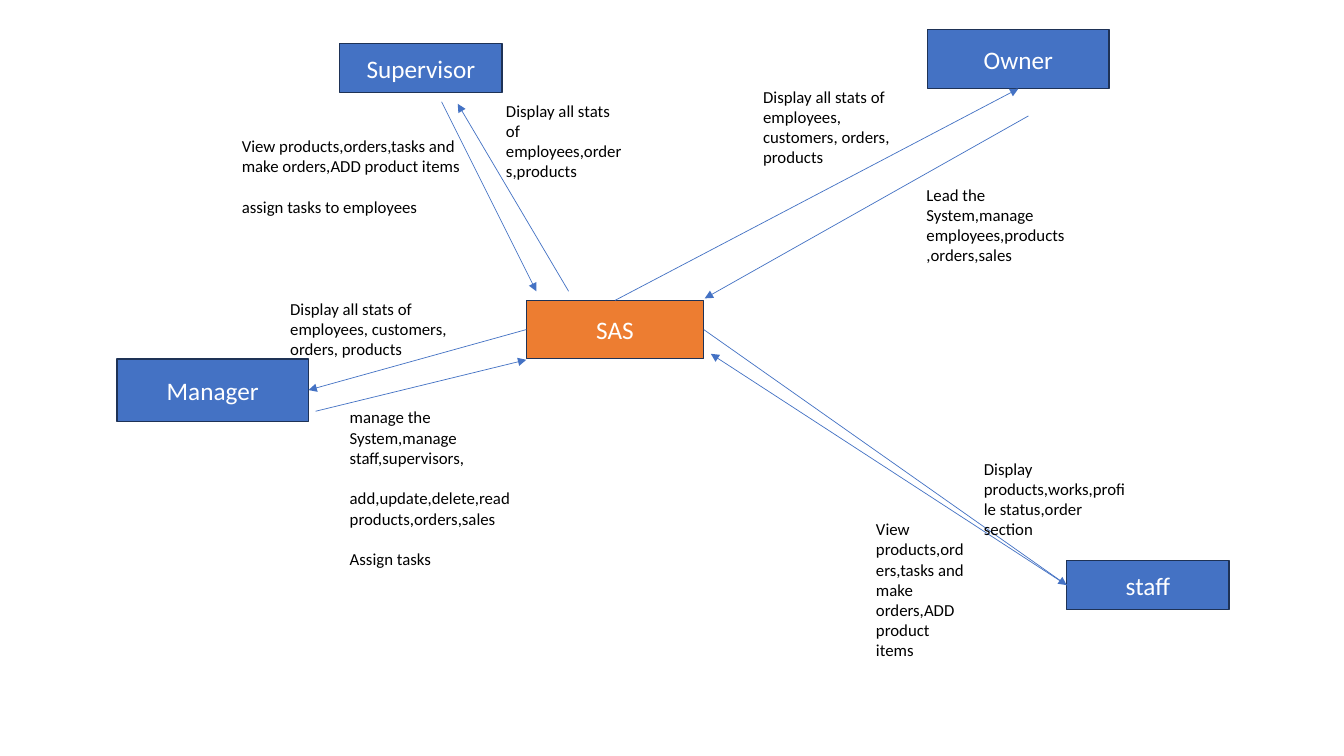
from collections import namedtuple
from lxml.etree import SubElement
from pptx import Presentation
from pptx.dml.color import RGBColor
from pptx.enum.shapes import MSO_CONNECTOR, MSO_SHAPE
from pptx.enum.text import MSO_ANCHOR, MSO_AUTO_SIZE, PP_ALIGN
from pptx.oxml.ns import qn
from pptx.util import Inches, Pt

BLUE = RGBColor(0x44, 0x72, 0xC4)
NAVY = RGBColor(0x1E, 0x32, 0x56)
ORANGE = RGBColor(0xED, 0x7D, 0x31)
WHITE = RGBColor(0xFF, 0xFF, 0xFF)
BLACK = RGBColor(0, 0, 0)
FONT = "Calibri"
GAP = Pt(14.6)  # one line of note text

# Connection sites of a rectangle
TOP, LEFT, BOTTOM, RIGHT = range(4)

# A flow runs between a hub end and an actor end. Each end is a site or
# an offset from that box's corner; the note sits at an offset from the actor.
Flow = namedtuple("Flow", "hub actor note text")
Actor = namedtuple("Actor", "name box reply request")

STATS = ["Display all stats of employees, customers, orders, products"]
VIEW = "View products,orders,tasks and make orders,ADD product items"

ACTORS = [
    Actor("Manager", (1.16, 3.56, 1.9, 0.62),
          Flow(LEFT, RIGHT, (1.62, -0.65, 2.16, 0.71), STATS),
          Flow((0, 0.59), (1.97, 0.52), (2.21, 0.43, 1.85, 1.72),
               ["manage the System,manage staff,supervisors,",
                "add,update,delete,read\vproducts,orders,sales",
                "Assign tasks"])),
    Actor("Owner", (9.2, 0.29, 1.8, 0.59),
          Flow(TOP, BOTTOM, (-1.73, 0.52, 1.61, 0.91), STATS),
          Flow((1.77, -0.02), (1, 0.86), (-0.11, 1.49, 1.61, 0.91),
               ["Lead the System,manage employees,products,orders,sales"])),
    Actor("staff", (10.58, 5.56, 1.61, 0.49),
          Flow(RIGHT, LEFT, (-0.92, -1.06, 1.61, 0.91),
               ["Display products,works,profile status,order section"]),
          Flow((1.83, 0.53), LEFT, (-1.99, -0.46, 1.07, 1.51), [VIEW])),
    Actor("Supervisor", (3.37, 0.43, 1.61, 0.49),
          Flow((0.42, -0.09), (1.17, 0.6), (1.55, 0.52, 1.38, 0.91),
               ["Display all stats of employees,orders,products"]),
          Flow((0.1, -0.09), (1.01, 0.58), (-1.07, 0.87, 2.39, 0.91),
               [VIEW, "assign tasks to employees"])),
]


def style(para, size, color):
    para.font.name = FONT
    para.font.size = Pt(size)
    para.font.color.rgb = color


def add_node(slide, box, name, fill):
    node = slide.shapes.add_shape(MSO_SHAPE.RECTANGLE, *map(Inches, box))
    node.shadow.inherit = False
    node.fill.solid()
    node.fill.fore_color.rgb = fill
    node.line.color.rgb = NAVY
    node.line.width = Pt(1)
    frame = node.text_frame
    frame.vertical_anchor = MSO_ANCHOR.MIDDLE
    para = frame.paragraphs[0]
    para.text = name
    para.alignment = PP_ALIGN.CENTER
    style(para, 18, WHITE)
    return node


def add_note(slide, node, place, lines):
    x, y, w, h = map(Inches, place)
    frame = slide.shapes.add_textbox(node.left + x, node.top + y, w, h).text_frame
    frame.word_wrap = True
    frame.auto_size = MSO_AUTO_SIZE.SHAPE_TO_FIT_TEXT
    for i, line in enumerate(lines):
        para = frame.add_paragraph() if i else frame.paragraphs[0]
        para.text = line
        style(para, 12, BLACK)
        if i:
            para.space_before = GAP


def find_point(node, end):
    """Give the slide point of an offset; a site is glued afterwards."""
    x, y = (0, 0) if isinstance(end, int) else end
    return node.left + Inches(x), node.top + Inches(y)


def add_arrow(slide, source, start, target, end):
    arrow = slide.shapes.add_connector(
        MSO_CONNECTOR.STRAIGHT, *find_point(source, start), *find_point(target, end))
    if isinstance(start, int):
        arrow.begin_connect(source, start)
    if isinstance(end, int):
        arrow.end_connect(target, end)
    arrow.line.color.rgb = BLUE
    arrow.line.width = Pt(0.5)
    SubElement(arrow.line._get_or_add_ln(), qn("a:tailEnd"), type="triangle")
    SubElement(arrow._element.spPr, qn("a:effectLst"))


def add_actor(slide, hub, actor):
    node = add_node(slide, actor.box, actor.name, BLUE)
    reply, ask = actor.reply, actor.request
    add_arrow(slide, hub, reply.hub, node, reply.actor)
    add_arrow(slide, node, ask.actor, hub, ask.hub)
    for flow in (reply, ask):
        add_note(slide, node, flow.note, flow.text)


def main():
    deck = Presentation()
    deck.slide_width, deck.slide_height = Inches(13.33), Inches(7.5)
    slide = deck.slides.add_slide(deck.slide_layouts[6])
    # Central system, then the actors around it
    hub = add_node(slide, (5.22, 2.98, 1.76, 0.58), "SAS", ORANGE)
    for actor in ACTORS:
        add_actor(slide, hub, actor)
    deck.save("out.pptx")


if __name__ == "__main__":
    main()
